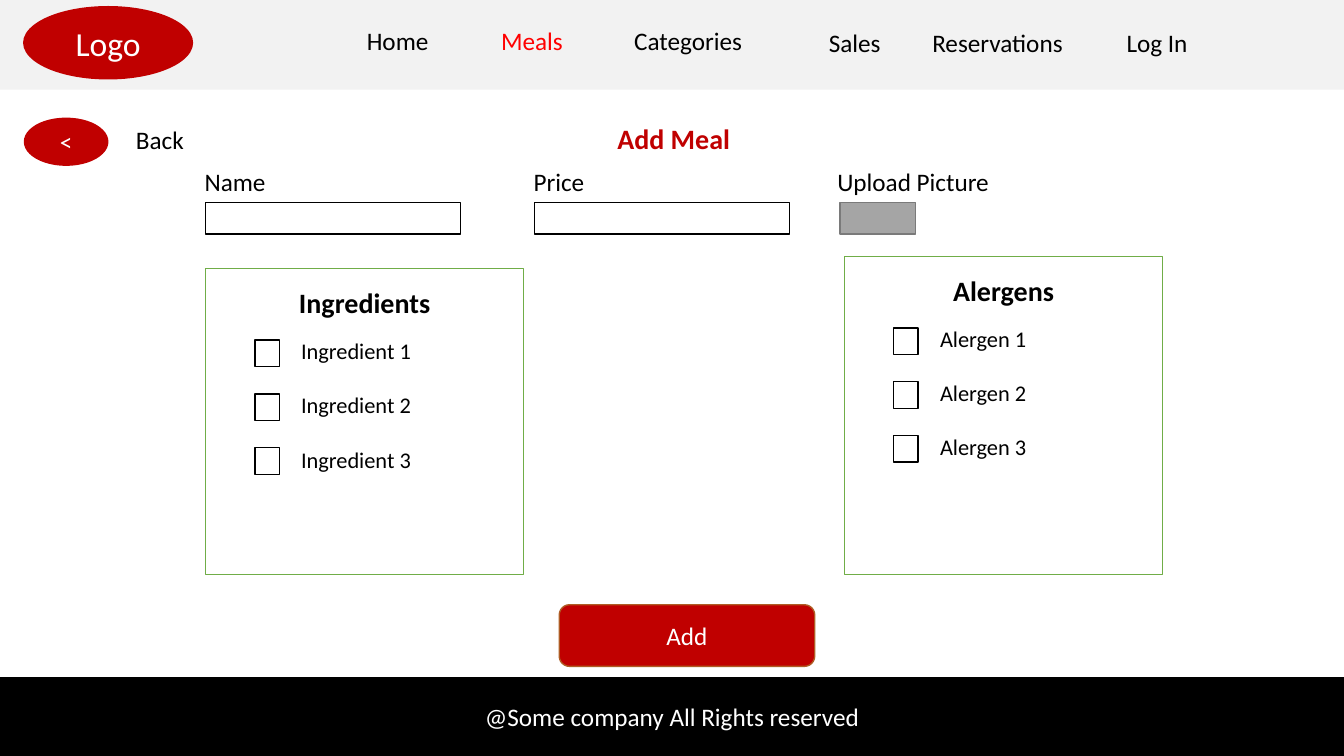
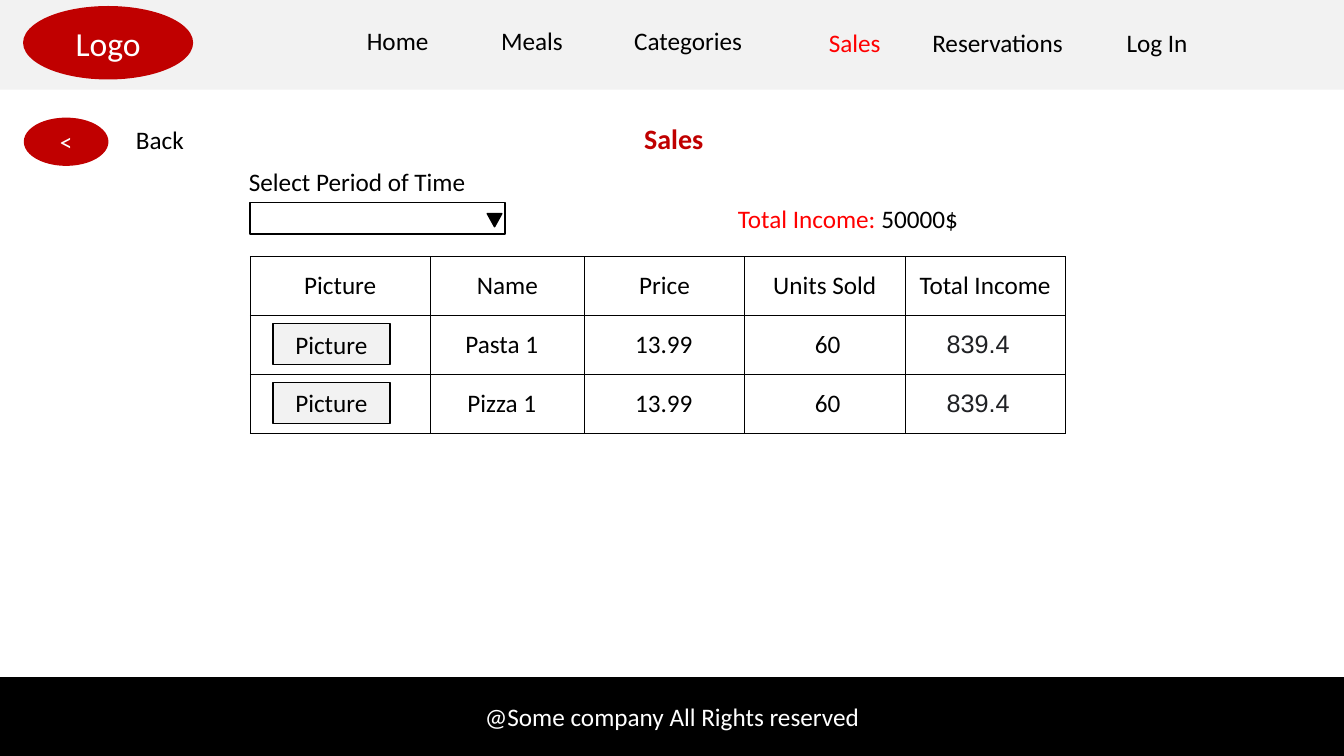
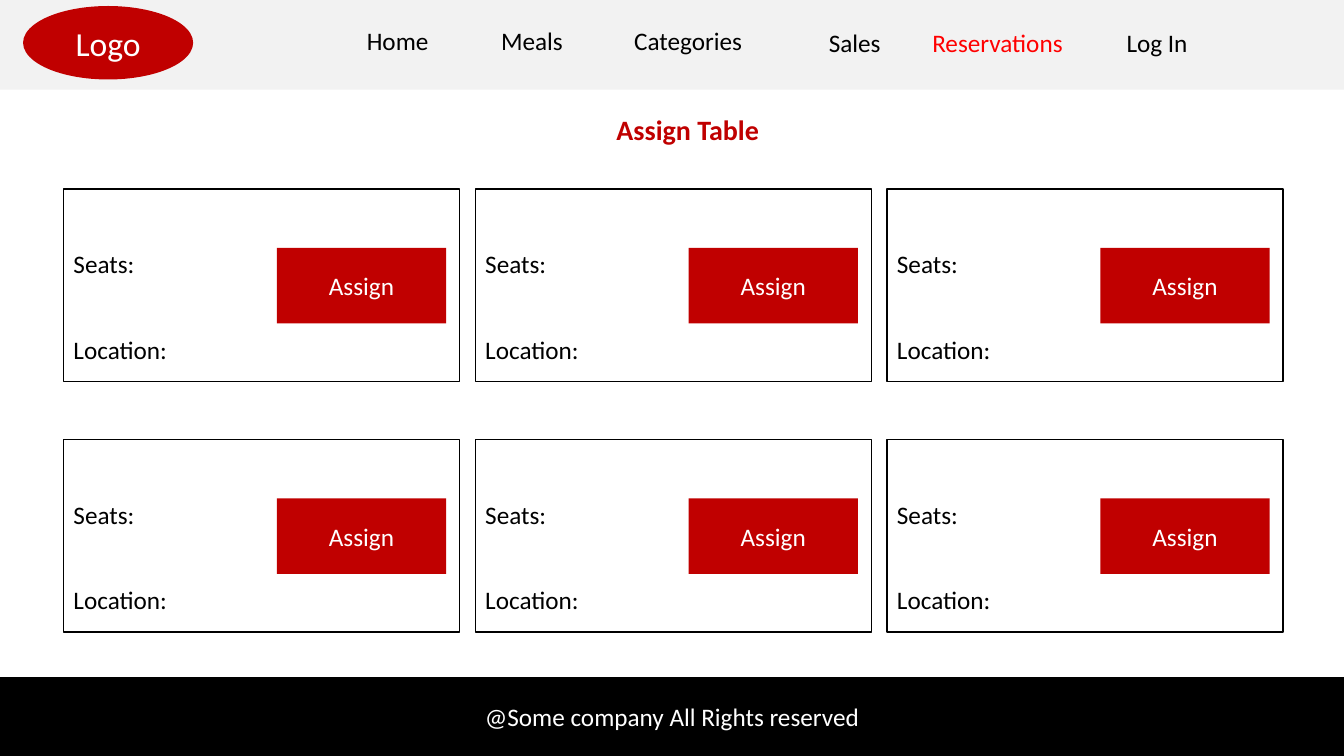
from lxml import etree
from pptx import Presentation
from pptx import util as u
from pptx.dml import color as dml
from pptx.enum import shapes, text
from pptx.oxml import ns

RED, BRIGHT_RED, GREEN = "C00000", "FF0000", "70AD47"
BLACK, WHITE, PALE, CHARCOAL = "000000", "FFFFFF", "F2F2F2", "202124"
FONT = "Calibri"
SHAPE = shapes.MSO_SHAPE
LEFT, CENTER = text.PP_ALIGN.LEFT, text.PP_ALIGN.CENTER
LINE_HEIGHT = 29
NAV_LINKS = [  # name, left, top, width
    ("Home", 254, 14.4, 60), ("Meals", 344, 14.4, 72),
    ("Categories", 430, 14.4, 123), ("Sales", 549, 16, 123),
    ("Reservations", 651, 16, 123), ("Log In", 790.5, 16, 72),
]


def rgb(value):
    """Turn a hex string into a colour."""
    return dml.RGBColor.from_string(value)


def place(shape, left, top, width, height):
    """Set position and size in points."""
    shape.left, shape.top = u.Pt(left), u.Pt(top)
    shape.width, shape.height = u.Pt(width), u.Pt(height)


def format_span(span, color, size=18, bold=False, font=FONT):
    """Format one run of text."""
    span.font.name, span.font.size, span.font.bold = font, u.Pt(size), bold
    span.font.color.rgb = rgb(color)


def write(frame, words, color, align=CENTER, gap=0, **style):
    """Fill a text frame and format its paragraphs and runs."""
    frame.text = words
    for index, para in enumerate(frame.paragraphs):
        para.alignment = align
        para.space_before = u.Pt(gap if index else 0)
        for span in para.runs:
            format_span(span, color, **style)


def border(cell, sides):
    """Draw black cell borders from a mapping of side to width."""
    properties = cell._tc.get_or_add_tcPr()
    for side, width in sides.items():
        line = etree.SubElement(properties, ns.qn(f"a:ln{side}"), w=str(u.Pt(width)))
        fill = etree.SubElement(line, ns.qn("a:solidFill"))
        etree.SubElement(fill, ns.qn("a:srgbClr"), val=BLACK)


class Wireframe:
    """Holds the deck, its shared style and the current slide."""

    def __init__(self):
        """Start an empty widescreen deck."""
        self.deck = Presentation()
        self.deck.slide_width, self.deck.slide_height = u.Pt(960), u.Pt(540)
        self.slide = None

    def page(self, title, active, left=286.5, top=83.5):
        """Add a slide with navigation, title and footer."""
        self.slide = self.deck.slides.add_slide(self.deck.slide_layouts[5])
        heading = self.slide.shapes.title
        place(heading, left, top, 389.5, 31.5)
        heading.text_frame.vertical_anchor = text.MSO_ANCHOR.TOP
        heading.text_frame.auto_size = text.MSO_AUTO_SIZE.NONE
        write(heading.text_frame, title, RED, size=20, bold=True)

        self.shape(0, 0, 960, 64, fill=PALE)
        self.shape(16.5, 4.3, 121.5, 52.5, "Logo", RED, kind=SHAPE.OVAL, size=24)
        for name, link_left, link_top, width in NAV_LINKS:
            self.label(name, link_left, link_top, width, align=CENTER,
                       color=BRIGHT_RED if name == active else BLACK)
        self.shape(0, 484, 960, 56, "@Some company All Rights reserved", BLACK, BLACK)

    def shape(self, left, top, width, height, words="", fill=None, line=None,
              kind=SHAPE.RECTANGLE, color=WHITE, size=18):
        """Add a preset shape with optional centred text."""
        box = self.slide.shapes.add_shape(kind, 0, 0, 0, 0)
        place(box, left, top, width, height)
        box.shadow.inherit = False
        if fill:
            box.fill.solid()
            box.fill.fore_color.rgb = rgb(fill)
        else:
            box.fill.background()
        if line:
            box.line.color.rgb = rgb(line)
            box.line.width = u.Pt(1)
        else:
            box.line.fill.background()
        if words:
            write(box.text_frame, words, color, size=size)
        return box

    def label(self, words, left, top, width, height=LINE_HEIGHT, color=BLACK,
              align=LEFT, **style):
        """Add a wrapping text box."""
        box = self.slide.shapes.add_textbox(0, 0, 0, 0)
        place(box, left, top, width, height)
        box.text_frame.word_wrap = True
        write(box.text_frame, words, color, align, **style)
        return box

    def back(self):
        """Add the back button and its caption."""
        self.shape(17, 84, 60.5, 34.5, "<", RED, kind=SHAPE.OVAL)
        self.label("Back", 90, 85, 50)

    def field(self, caption, left):
        """Add an input field with its caption above."""
        self.label(caption, left - 8, 115.5, 182)
        self.shape(left, 144.7, 182, 22.5, fill=WHITE, line=BLACK)

    def checklist(self, heading, items, left, top):
        """Add a panel of checkboxes that ends at a common bottom."""
        self.shape(left, top, 227, 410.5 - top, fill=WHITE, line=GREEN)
        self.label(heading, left, top + 8.6, 227, 31.5, align=CENTER, size=20, bold=True)
        self.label("\n".join(items), left + 61, top + 45.4, 150, 104.5, size=16, gap=19.5)
        for row in range(len(items)):
            self.shape(left + 35, top + 51 + 38.4 * row, 17.5, 19, line=BLACK)

    def table(self, rows, left, top, widths, row_height, insets):
        """Add a ruled table; insets shift body text to the left by column."""
        frame = self.slide.shapes.add_table(
            len(rows), len(widths), u.Pt(left), u.Pt(top),
            u.Pt(sum(widths)), u.Pt(row_height * len(rows)))
        grid = frame.table
        grid.first_row = grid.horz_banding = False
        for column, width in enumerate(widths):
            grid.columns[column].width = u.Pt(width)
        for row, values in enumerate(rows):
            grid.rows[row].height = u.Pt(row_height)
            for column, value in enumerate(values):
                cell = grid.cell(row, column)
                border(cell, {"L": 0.5, "R": 0.5, "T": 1, "B": 1})
                cell.fill.solid()
                cell.fill.fore_color.rgb = rgb(WHITE)
                cell.vertical_anchor = text.MSO_ANCHOR.MIDDLE
                cell.margin_left = u.Pt(4)
                cell.margin_right = u.Pt(4 + (insets[column] if row else 0))
                total = row and column == len(widths) - 1
                write(cell.text_frame, value, CHARCOAL if total else BLACK,
                      font="Arial" if total else FONT)

    def seat_card(self, left, top):
        """Add a table card with its assign button."""
        self.shape(left, top, 283, 137.5, fill=WHITE, line=BLACK)
        self.label("Seats:", left, top + 39, 142.5)
        self.label("Location:", left, top + 100, 121)
        self.shape(left + 152.3, top + 42, 121, 54, "Assign", RED)


def add_meal(frame):
    """Build the form for a new meal."""
    frame.page("Add Meal", "Meals")
    frame.back()
    frame.field("Name", 147)
    frame.field("Price", 382)
    frame.label("Upload Picture", 591, 115.5, 129)
    frame.shape(600, 144.7, 54, 22.5, fill="A5A5A5", line="7A7A7A")
    for heading, item, left, top in (("Ingredients", "Ingredient", 147, 192),
                                     ("Alergens", "Alergen", 603.4, 183.3)):
        frame.checklist(heading, [f"{item} {number}" for number in (1, 2, 3)], left, top)
    frame.shape(399.5, 432, 182.5, 44, "Add", RED, "AF5C24", SHAPE.ROUNDED_RECTANGLE)


def sales(frame):
    """Build the sales report."""
    frame.page("Sales", "Sales")
    frame.back()
    frame.field("Select Period of Time", 178.7)
    arrow = frame.shape(348, 152.5, 10.5, 9.5, fill=BLACK, line=BLACK,
                        kind=SHAPE.ISOSCELES_TRIANGLE)
    arrow.rotation = 180
    income = frame.label("Total Income: ", 520, 142, 174, color=BRIGHT_RED)
    amount = income.text_frame.paragraphs[0].add_run()
    amount.text = "50000$"
    format_span(amount, BLACK)

    top, row_height = 183.5, 42
    frame.table([("Picture", "Name", "Price", "Units Sold", "Total Income"),
                 ("", "Pasta 1", "13.99", "60", "839.4"),
                 ("", "Pizza 1", "13.99", "60", "839.4")],
                178.7, top, (128.7, 110, 114.5, 114.5, 114.5), row_height,
                insets=(0, 8, 1, -4, 10))
    for row in (1, 2):
        frame.shape(195, top + row_height * row + 5.5, 83.5, 29.5, "Picture",
                    PALE, BLACK, color=BLACK)


def assign_table(frame):
    """Build the grid of restaurant tables."""
    frame.page("Assign Table", "Reservations", left=296.5, top=77)
    for row in range(2):
        for column in range(3):
            frame.seat_card(45.4 + 294.1 * column, 135 + 179 * row)


wireframe = Wireframe()
add_meal(wireframe)
sales(wireframe)
assign_table(wireframe)
wireframe.deck.save("out.pptx")
